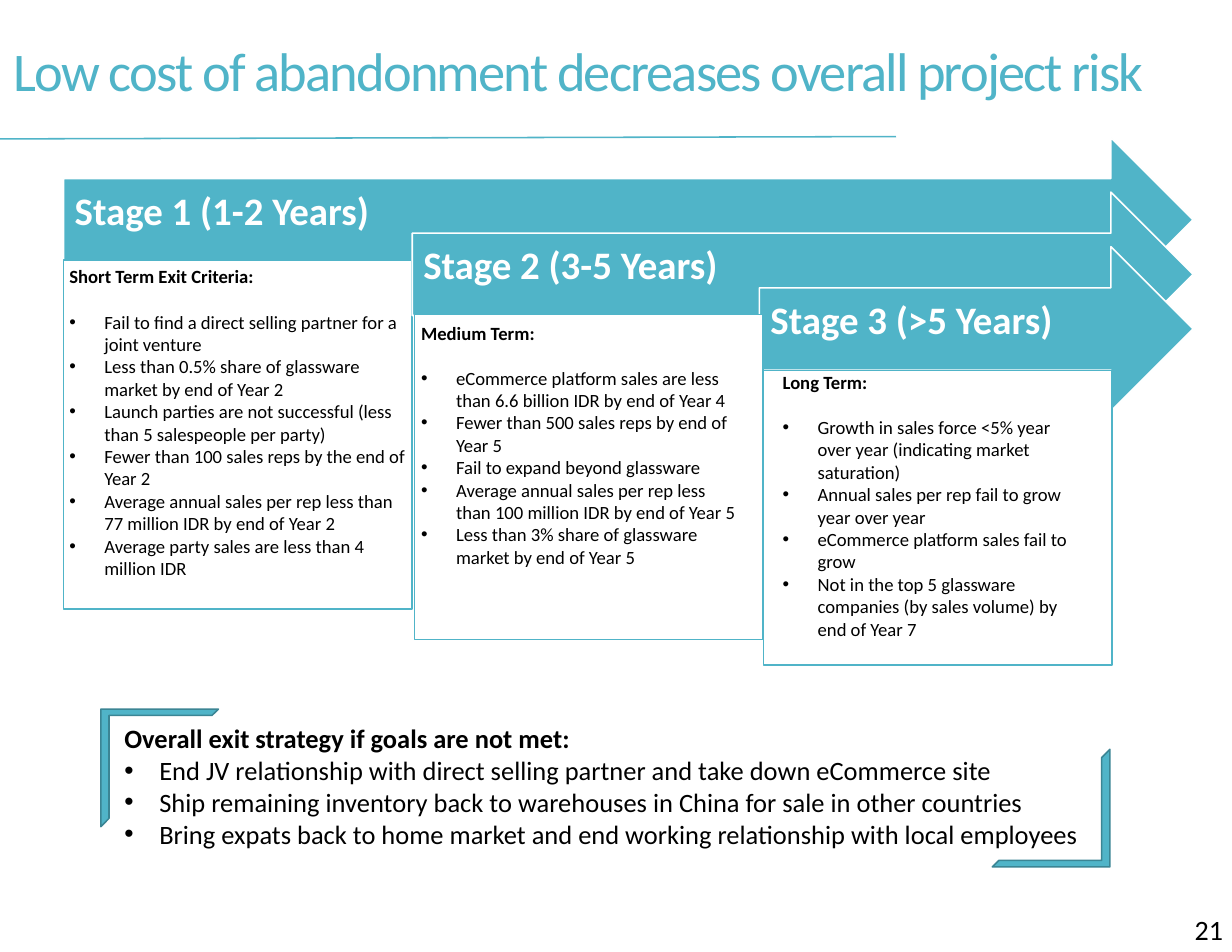
import pptx
import pptx.dml.color
import pptx.enum.shapes
import pptx.enum.text
import pptx.oxml.ns
import pptx.util
from lxml import etree

Pt = pptx.util.Pt
Shape = pptx.enum.shapes.MSO_SHAPE
Anchor = pptx.enum.text.MSO_ANCHOR
qn = pptx.oxml.ns.qn
TEAL, DARK_TEAL, WHITE, BLACK = "50B4C8", "3B8594", "FFFFFF", "000000"


def paint(color_format, value):
    color_format.rgb = pptx.dml.color.RGBColor.from_string(value)


def write(box, lines, size, color, margins, anchor=Anchor.TOP, gap=0):
    """Fill a box with a bold heading and bulleted lines below it."""
    frame = box.text_frame
    settings = {"word_wrap": True, "vertical_anchor": anchor,
                "auto_size": pptx.enum.text.MSO_AUTO_SIZE.NONE}
    for side, margin in zip(("left", "top", "right", "bottom"), margins):
        settings["margin_" + side] = Pt(margin)
    for name, value in settings.items():
        setattr(frame, name, value)
    for number, line in enumerate(lines):
        para = frame.paragraphs[0] if number == 0 else frame.add_paragraph()
        layout = {"alignment": pptx.enum.text.PP_ALIGN.LEFT, "space_before": Pt(0),
                  "space_after": Pt(0 if number else gap)}
        for name, value in layout.items():
            setattr(para, name, value)
        span = para.add_run()
        span.text = line
        for name, value in {"name": "Calibri", "size": Pt(size), "bold": number == 0}.items():
            setattr(span.font, name, value)
        paint(span.font.fill.fore_color if span.font.fill.solid() else span.font.color, color)
        properties = para._p.get_or_add_pPr()
        indent = Pt(22.5) if number else 0
        properties.set("marL", str(indent))
        properties.set("indent", str(-indent))
        if number:
            etree.SubElement(properties, qn("a:buFont")).set("typeface", "Arial")
            etree.SubElement(properties, qn("a:buChar")).set("char", "•")
        else:
            etree.SubElement(properties, qn("a:buNone"))


deck = pptx.Presentation()
deck.slide_width, deck.slide_height = Pt(792), Pt(612)
page = deck.slides.add_slide(deck.slide_layouts[1])
title, strategy = page.placeholders[0], page.placeholders[1]

# Title and the rule below it
for name, value in {"left": 1.5, "top": -26, "width": 759, "height": 148}.items():
    setattr(title, name, Pt(value))
write(title, ["Low cost of abandonment decreases overall project risk"], 35, TEAL,
      (7.2, 3.6, 7.2, 3.6), Anchor.MIDDLE)
heading = title.text_frame.paragraphs[0]
heading.line_spacing = 0.85
heading.runs[0].font.bold = False
heading.runs[0].font._element.set("spc", "-120")

rule = page.shapes.add_connector(pptx.enum.shapes.MSO_CONNECTOR.STRAIGHT,
                                 Pt(0), Pt(89.3), Pt(576), Pt(87.8))
rule.line.width = Pt(1)
paint(rule.line.color, TEAL)
etree.SubElement(rule._element.spPr, qn("a:effectLst"))

# Stage arrows and criteria boxes, from back to front
criteria = [
    ["Short Term Exit Criteria:",
     "Fail to find a direct selling partner for a joint venture",
     "Less than 0.5% share of glassware market by end of Year 2",
     "Launch parties are not successful (less than 5 salespeople per party)",
     "Fewer than 100 sales reps by the end of Year 2",
     "Average annual sales per rep less than 77 million IDR by end of Year 2",
     "Average party sales are less than 4 million IDR"],
    ["Medium Term:",
     "eCommerce platform sales are less than 6.6 billion IDR by end of Year 4",
     "Fewer than 500 sales reps by end of Year 5",
     "Fail to expand beyond glassware",
     "Average annual sales per rep less than 100 million IDR by end of Year 5",
     "Less than 3% share of glassware market by end of Year 5"],
    ["Long Term:",
     "Growth in sales force <5% year over year (indicating market saturation)",
     "Annual sales per rep fail to grow year over year",
     "eCommerce platform sales fail to grow",
     "Not in the top 5 glassware companies (by sales volume) by end of Year 7"],
]
arrow_tip = 767
arrows = [("arrow", left, 88.4 + 35.1 * step, arrow_tip - left, 105.8,
           [f"Stage {step + 1} ({years} Years)"], (7.2, 7.2, 20, 16.6))
          for step, (left, years) in enumerate([(41, "1-2"), (265, "3-5"), (488.2, ">5")])]
boxes = [("box", left, top, 224, height, lines, margins)
         for (left, top, height, margins), lines in zip([
             (41, 167, 224.6, (3.6, 3.6, 3.6, 3.6)),
             (266.4, 202.3, 208.8, (4.3, 4.3, 14.4, 3.6)),
             (491, 238.3, 189.4, (12.2, 0, 18, 0))], criteria)]
for kind, left, top, width, height, lines, margins in [arrows[0], boxes[0], *arrows[1:], *boxes[1:]]:
    is_arrow = kind == "arrow"
    part = page.shapes.add_shape(Shape.RIGHT_ARROW if is_arrow else Shape.RECTANGLE,
                                 Pt(left), Pt(top), Pt(width), Pt(height))
    part.shadow.inherit = False
    part.fill.solid()
    paint(part.fill.fore_color, TEAL if is_arrow else WHITE)
    part.line.width = Pt(1)
    paint(part.line.color, WHITE if is_arrow else TEAL)
    if is_arrow:
        write(part, lines, 25, WHITE, margins, Anchor.MIDDLE)
        part.text_frame.paragraphs[0].line_spacing = 0.9
    else:
        write(part, lines, 12, BLACK, margins, gap=14.6)

# Overall strategy between two corner brackets
for name, value in {"left": 72.7, "top": 460.8, "width": 661.7, "height": 90}.items():
    setattr(strategy, name, Pt(value))
write(strategy, ["Overall exit strategy if goals are not met:",
                 "End JV relationship with direct selling partner and take down eCommerce site",
                 "Ship remaining inventory back to warehouses in China for sale in other countries",
                 "Bring expats back to home market and end working relationship with local employees"],
      17, BLACK, (7.2, 3.6, 7.2, 3.6))
for left, top, rotation in [(64.8, 455.8, 0), (637.9, 481.7, 180)]:
    bracket = page.shapes.add_shape(Shape.HALF_FRAME, Pt(left), Pt(top), Pt(75.6), Pt(75.6))
    bracket.adjustments[0], bracket.adjustments[1] = 0.055, 0.07
    bracket.rotation = rotation
    bracket.shadow.inherit = False
    bracket.fill.solid()
    paint(bracket.fill.fore_color, TEAL)
    bracket.line.width = Pt(1)
    paint(bracket.line.color, DARK_TEAL)

# Page number
number_box = page.shapes.add_textbox(Pt(761), Pt(583.2), Pt(31), Pt(28.8))
write(number_box, ["21"], 18, BLACK, (7.2, 3.6, 0, 3.6))
number_box.text_frame.paragraphs[0].runs[0].font.bold = False

deck.save("out.pptx")
